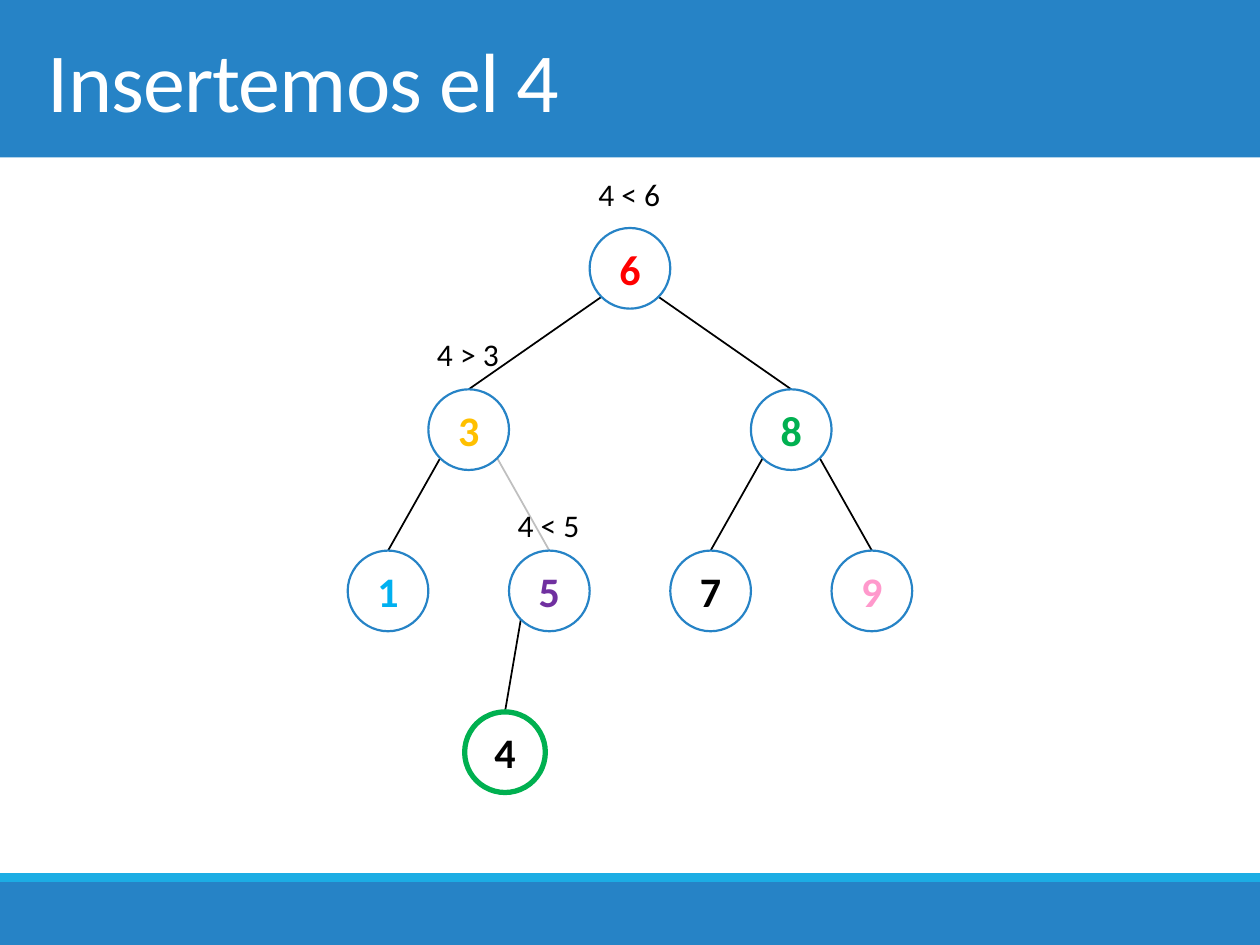
import math

from lxml import etree
from pptx import Presentation
from pptx.dml.color import RGBColor
from pptx.enum.shapes import MSO_CONNECTOR, MSO_SHAPE
from pptx.enum.text import MSO_ANCHOR, MSO_AUTO_SIZE, PP_ALIGN
from pptx.oxml.ns import qn
from pptx.util import Inches, Pt

FONT = "Calibri"
COLORS = {
    "white": "FFFFFF", "black": "000000", "blue": "2683C6", "cyan": "1CADE4",
    "red": "FF0000", "green": "00B050", "amber": "FFC000", "sky": "00B0F0",
    "purple": "7030A0", "pink": "FF99CC", "gray": "BFBFBF",
}
BANDS = [(0, 1.25, "blue"), (7, 0.5, "blue"), (6.93, 0.07, "cyan")]
NODES = {
    "6": (0, 0, "red"),
    "3": (-2, 1, "amber"), "8": (2, 1, "green"),
    "1": (-3, 2, "sky"), "5": (-1, 2, "purple"),
    "7": (1, 2, "black"), "9": (3, 2, "pink"),
    "4": (-1.55, 3, "black"),
}
EDGES = ["63", "68", "31", "35", "87", "89", "54"]
COMPARISONS = [("6", "4 < 6", 0.73), ("3", "4 > 3", 0.75), ("5", "4 < 5", 0.63)]
NEW_NODE = "4"
FADED_EDGE = "35"


def rgb(name):
    """Look up a palette colour."""
    return RGBColor.from_string(COLORS[name])


def write(frame, text, size, color, align, bold=False):
    """Put one formatted run in a text frame and return it."""
    paragraph = frame.paragraphs[0]
    paragraph.alignment = align
    run = paragraph.add_run()
    run.text = text
    run.font.name, run.font.size, run.font.bold = FONT, Pt(size), bold
    run.font.color.rgb = rgb(color)
    return run


def add_solid(slide, kind, box, fill, line=None, weight=0):
    """Add a flat preset shape, outlined when a line colour is given."""
    shape = slide.shapes.add_shape(kind, *map(Inches, box))
    shape.shadow.inherit = False
    shape.fill.solid()
    shape.fill.fore_color.rgb = rgb(fill)
    if line:
        shape.line.color.rgb = rgb(line)
        shape.line.width = Pt(weight)
    else:
        shape.line.fill.background()
    return shape


def add_frame(slide, width, text):
    """Draw the header and footer bands and fill the title."""
    for top, height, color in BANDS:
        add_solid(slide, MSO_SHAPE.RECTANGLE, (0, top, width, height), color)
    title = slide.shapes.title
    title.left, title.top = Inches(0.28), 0
    title.width, title.height = Inches(9.45), Inches(1.25)
    title.text_frame.vertical_anchor = MSO_ANCHOR.MIDDLE
    title.text_frame.word_wrap = True
    run = write(title.text_frame, text, 48, "white", PP_ALIGN.LEFT)
    run.font._element.set("spc", "-50")
    slide.shapes._spTree.append(title._element)


def add_edge(slide, parent, child, radius, color):
    """Join the parent's lower diagonal to the top of the child."""
    reach = radius * math.sqrt(0.5)
    side = math.copysign(reach, child[0] - parent[0])
    ends = (parent[0] + side, parent[1] + reach, child[0], child[1] - radius)
    edge = slide.shapes.add_connector(MSO_CONNECTOR.STRAIGHT, *map(Inches, ends))
    edge.line.color.rgb = rgb(color)
    edge.line.width = Pt(1)
    etree.SubElement(edge._element.spPr, qn("a:effectLst"))


def add_node(slide, center, size, value, color):
    """Draw a numbered circle, with a heavy outline for the new node."""
    line, weight = ("green", 3) if value == NEW_NODE else ("blue", 1.25)
    box = (center[0] - size / 2, center[1] - size / 2, size, size)
    node = add_solid(slide, MSO_SHAPE.OVAL, box, "white", line, weight)
    node.text_frame.vertical_anchor = MSO_ANCHOR.MIDDLE
    write(node.text_frame, value, 24, color, PP_ALIGN.CENTER, True)


def add_comparison(slide, center_x, top, text):
    """Place a comparison label centred on a node's column."""
    width, height = 0.7, 0.4
    box = (center_x - width / 2, top, width, height)
    frame = slide.shapes.add_textbox(*map(Inches, box)).text_frame
    frame.word_wrap = False
    frame.auto_size = MSO_AUTO_SIZE.SHAPE_TO_FIT_TEXT
    write(frame, text, 18, "black", PP_ALIGN.LEFT)


def add_tree(slide, axis, top, size):
    """Lay out the search tree on columns of one node and rows of two."""
    centers = {
        value: (axis + column * size, top + size / 2 + row * 2 * size)
        for value, (column, row, _) in NODES.items()
    }
    for edge in EDGES:
        parent, child = edge
        color = "gray" if edge == FADED_EDGE else "black"
        add_edge(slide, centers[parent], centers[child], size / 2, color)
    for value, (_, _, color) in NODES.items():
        add_node(slide, centers[value], size, value, color)
    for value, text, rise in COMPARISONS:
        x, y = centers[value]
        add_comparison(slide, x, y - size / 2 - rise * size, text)


def main():
    """Build and save the slide."""
    width, height = 10, 7.5
    deck = Presentation()
    deck.slide_width, deck.slide_height = Inches(width), Inches(height)
    slide = deck.slides.add_slide(deck.slide_layouts[5])
    add_frame(slide, width, "Insertemos el 4")
    add_tree(slide, axis=width / 2, top=1.81, size=0.64)
    deck.save("out.pptx")


main()
